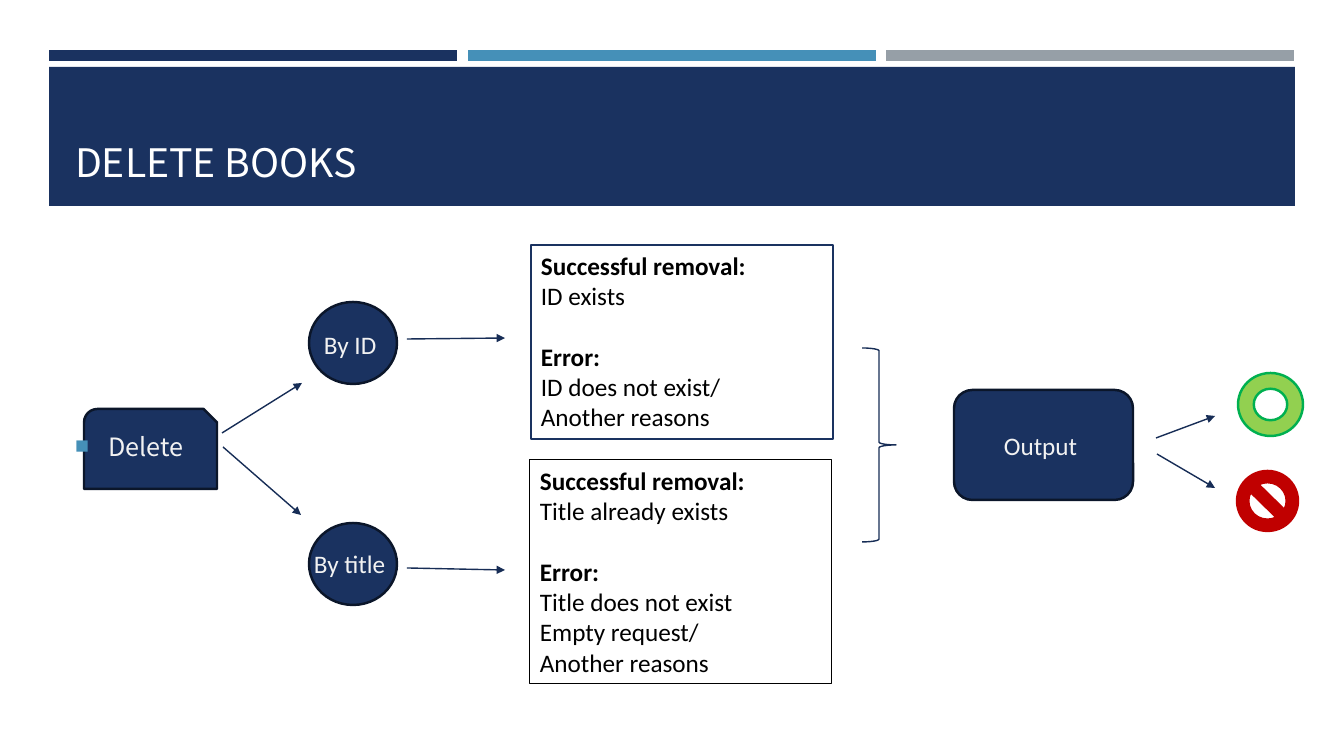
from lxml import etree
from pptx import Presentation
from pptx import util as u
from pptx.dml.color import RGBColor
from pptx.enum import shapes, text
from pptx.oxml import ns

PX = u.Inches(1) / 100.8
NAVY, EDGE, INK, PALE, BLUE = "1A3260", "0B162A", "172D56", "F2F2F2", "4590B8"
KIND = shapes.MSO_SHAPE


def rgb(color):
    return RGBColor.from_string(color)


def add_figure(kind, box, fill=None, line=None, weight=1.75):
    figure = slide.shapes.add_shape(kind, *[round(n * PX) for n in box])
    figure.shadow.inherit = False
    if fill:
        figure.fill.solid()
        figure.fill.fore_color.rgb = rgb(fill)
    else:
        figure.fill.background()
    if line:
        figure.line.color.rgb = rgb(line)
        figure.line.width = u.Pt(weight)
    else:
        figure.line.fill.background()
    return figure


deck = Presentation()
deck.slide_width, deck.slide_height = u.Inches(13.333), u.Inches(7.5)
slide = deck.slides.add_slide(deck.slide_layouts[1])
heading, step = slide.placeholders

for left, color in (49, NAVY), (468, BLUE), (886, "969FA7"):
    add_figure(KIND.RECTANGLE, (left, 50, 408, 11), color)
add_figure(KIND.RECTANGLE, (49, 67, 1246, 139), NAVY)

for kind, box in (
    (KIND.ROUNDED_RECTANGLE, (954, 390, 179, 110)),
    (KIND.OVAL, (309, 523, 88, 82)),
    (KIND.OVAL, (309, 302, 88, 82)),
    (KIND.SNIP_ROUND_RECTANGLE, (84, 409, 133, 80)),
):
    add_figure(kind, box, NAVY, EDGE)

for holder, box, words, size, color, anchor in (
    (heading, (65, 81, 1216, 109), "DELETE BOOKS", 28, "FFFFFF", text.MSO_ANCHOR.BOTTOM),
    (step, (65, 246, 598, 400), "Delete", 18, PALE, text.MSO_ANCHOR.MIDDLE),
):
    holder.left, holder.top, holder.width, holder.height = [round(n * PX) for n in box]
    slide.shapes._spTree.append(holder._element)
    frame = holder.text_frame
    frame.text = words
    frame.auto_size = text.MSO_AUTO_SIZE.NONE
    frame.vertical_anchor = anchor
    line = frame.paragraphs[0]
    line.alignment = text.PP_ALIGN.LEFT
    line.font.size = u.Pt(size)
    line.font.name = "Noto Sans CJK SC"
    line.font.color.rgb = rgb(color)

bullet = step.text_frame.paragraphs[0]._p.get_or_add_pPr()
bullet.set("marL", str(round(33 * PX)))
bullet.set("indent", str(round(-33 * PX)))
marker_color = etree.Element(ns.qn("a:buClr"))
etree.SubElement(marker_color, ns.qn("a:srgbClr"), val=BLUE)
marker_size = etree.Element(ns.qn("a:buSzPct"), val="92000")
marker = etree.Element(ns.qn("a:buChar"), char="■")
for place, part in enumerate((marker_color, marker_size, marker)):
    bullet.insert(place, part)

for words, box in (
    ("By ID", (314, 324, 78, 40)),
    ("By title", (304, 543, 98, 40)),
    ("Output", (994, 425, 140, 41)),
):
    label = slide.shapes.add_textbox(*[round(n * PX) for n in box]).text_frame
    label.word_wrap = True
    label.text = words
    font = label.paragraphs[0].font
    font.size, font.name = u.Pt(18), "Calibri"
    font.color.rgb = rgb(PALE)

SUCCESS, ERROR = "Successful\u00a0removal:", "Error:"
for box, fill, edge, weight, outcomes in (
    ((531, 245, 302, 194), "FFFFFF", NAVY, 1.75,
     (SUCCESS, "ID exists", ERROR, "ID does not exist/", "Another reasons")),
    ((530, 460, 302, 224), None, "000000", 0.75,
     (SUCCESS, "Title already exists", ERROR, "Title does not exist",
      "Empty request/", "Another reasons")),
):
    frame = add_figure(KIND.RECTANGLE, box, fill, edge, weight).text_frame
    frame.vertical_anchor = text.MSO_ANCHOR.TOP
    frame.text = "\n".join(outcomes)
    for line in frame.paragraphs:
        line.alignment = text.PP_ALIGN.LEFT
        line.font.size, line.font.name = u.Pt(18), "Calibri"
        line.font.bold = line.text in (SUCCESS, ERROR)
        line.font.color.rgb = rgb("000000")
        if line.text == ERROR:
            line.space_before = u.Pt(22)

for ends in (
    (222, 433, 302, 383),
    (223, 447, 301, 515),
    (407, 339, 505, 338),
    (407, 568, 505, 570),
    (1157, 454, 1215, 488),
    (1156, 438, 1215, 416),
):
    arrow = slide.shapes.add_connector(
        shapes.MSO_CONNECTOR.STRAIGHT, *[round(n * PX) for n in ends])
    arrow.line.color.rgb = rgb(INK)
    arrow.line.width = u.Pt(1)
    etree.SubElement(arrow.line._get_or_add_ln(), ns.qn("a:tailEnd"), type="triangle")
    etree.SubElement(arrow._element.spPr, ns.qn("a:effectLst"))

add_figure(KIND.RIGHT_BRACE, (862, 348, 34, 194), None, INK, 1)
add_figure(KIND.NO_SYMBOL, (1237, 471, 61, 60), "C00000", "C00000")
add_figure(KIND.DONUT, (1238, 373, 65, 63), "92D050", "00B050")

deck.save("out.pptx")
